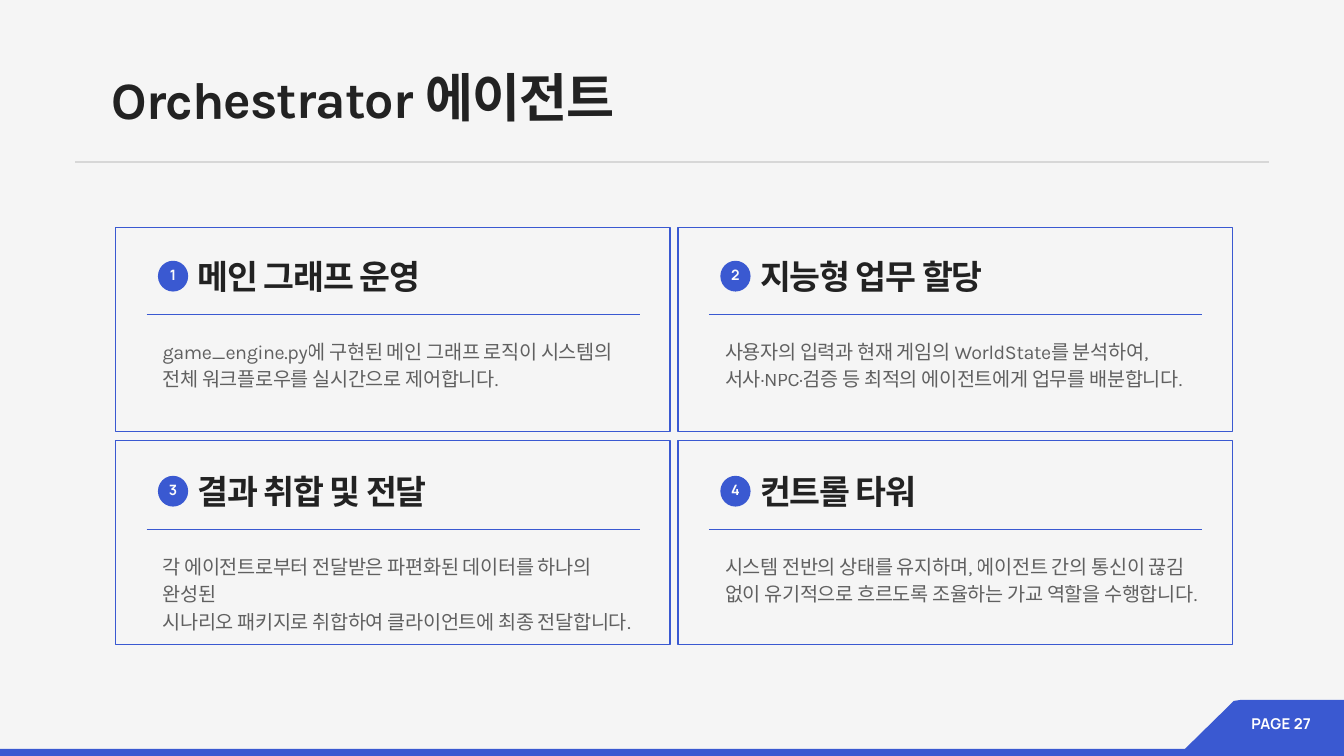
from lxml import etree
from pptx import Presentation
from pptx.dml.color import RGBColor
from pptx.enum import shapes, text
from pptx.oxml.ns import qn
from pptx.util import Pt

BLUE, INK, PAPER, WHITE = "3A59D1", "222222", "F5F5F5", "FFFFFF"
LEFT, CENTER, RIGHT = text.PP_ALIGN.LEFT, text.PP_ALIGN.CENTER, text.PP_ALIGN.RIGHT

TITLE = dict(name="Karla", size=Pt(56), bold=True, color=INK, tracking=-1.2, leading=64.4)
HEADING = dict(TITLE, size=Pt(36), leading=43.1)
BODY = dict(HEADING, size=Pt(21.1), bold=False, opacity=70, tracking=-0.4, leading=29.6)
PAGE = dict(name="Manrope", size=Pt(16), bold=True, color=WHITE, tracking=0.3,
            leading=13.3, align=RIGHT)
NUMBER = dict(PAGE, size=Pt(15.3), color="FCFCFC", tracking=1.2, leading=12.7, align=CENTER)

CARDS = [
    ("메인 그래프 운영", 496.8,
     ["game_engine.py에 구현된 메인 그래프 로직이 시스템의",
      "전체 워크플로우를 실시간으로 제어합니다."]),
    ("지능형 업무 할당", 510.5,
     ["사용자의 입력과 현재 게임의 WorldState를 분석하여,",
      "서사·NPC·검증 등 최적의 에이전트에게 업무를 배분합니다."]),
    ("결과 취합 및 전달", 517.7,
     ["각 에이전트로부터 전달받은 파편화된 데이터를 하나의 완성된",
      "시나리오 패키지로 취합하여 클라이언트에 최종 전달합니다."]),
    ("컨트롤 타워", 510.5,
     ["시스템 전반의 상태를 유지하며, 에이전트 간의 통신이 끊김 없이 "
      "유기적으로 흐르도록 조율하는 가교 역할을 수행합니다."]),
]


def paint(fill, value, opacity=100):
    """Give a fill one solid colour, with an opacity in percent."""
    fill.solid()
    fill.fore_color.rgb = RGBColor.from_string(value)
    if opacity < 100:
        color = fill._xPr.find(".//" + qn("a:srgbClr"))
        etree.SubElement(color, qn("a:alpha"), val=str(opacity * 1000))


def place(box, left, top, width, height):
    """Move and size a box, in points."""
    for name, value in dict(left=left, top=top, width=width, height=height).items():
        setattr(box, name, Pt(value))
    return box


def write(box, lines, style, anchor=text.MSO_ANCHOR.TOP, inset_top=0):
    """Fill a box with one styled paragraph per line."""
    frame = box.text_frame
    settings = dict(margin_left=0, margin_right=0, margin_top=Pt(inset_top), margin_bottom=0,
                    word_wrap=True, auto_size=text.MSO_AUTO_SIZE.NONE, vertical_anchor=anchor)
    for name, value in settings.items():
        setattr(frame, name, value)
    for index, line in enumerate(lines):
        para = frame.add_paragraph() if index else frame.paragraphs[0]
        para.alignment = style.get("align", LEFT)
        para.line_spacing = Pt(style["leading"])
        para.space_before = Pt(0)
        if box.is_placeholder:
            properties = para._p.get_or_add_pPr()
            properties.set("marL", "0")
            properties.set("indent", "0")
            etree.SubElement(properties, qn("a:buNone"))
        span = para.add_run()
        span.text = line
        for name in ("name", "size", "bold"):
            setattr(span.font, name, style[name])
        paint(span.font.fill, style["color"], style.get("opacity", 100))
        span.font._element.set("spc", str(round(style["tracking"] * 100)))


def add_label(page, area, line, style):
    """Add a text box holding one line."""
    write(page.shapes.add_textbox(*map(Pt, area)), [line], style)


def add_rule(page, left, right, top, color, opacity=100):
    """Add a thin horizontal line."""
    rule = page.shapes.add_connector(shapes.MSO_CONNECTOR.STRAIGHT,
                                     *map(Pt, (left, top, right, top)))
    rule.line.width = Pt(0.75)
    paint(rule.line.fill, color, opacity)
    etree.SubElement(rule._element.spPr, qn("a:effectLst"))


def add_solid(page, kind, *area):
    """Add a blue preset shape without outline."""
    shape = page.shapes.add_shape(kind, *map(Pt, area))
    shape.shadow.inherit = False
    paint(shape.fill, BLUE)
    shape.line.fill.background()
    return shape


def add_page_tab(page):
    """Add the bottom band and the slanted tab with the page number."""
    add_solid(page, shapes.MSO_SHAPE.RECTANGLE, 0, 802.4, 1440, 9)
    middle = 811
    upper = [(1264.3, middle), (1264.9, 808.5), (1266.5, 806.3), (1317.6, 754.6), (1322, 751.3),
             (1329, 750.2), (1611.4, 750.2), (1616.2, 752), (1618.4, 757)]
    lower = [(x, 2 * middle - y) for x, y in reversed(upper[1:])]
    builder = page.shapes.build_freeform(*upper[0], scale=Pt(1))
    builder.add_line_segments(upper[1:] + lower, close=True)
    tab = builder.convert_to_shape()
    tab.shadow.inherit = False
    paint(tab.fill, BLUE)
    tab.line.fill.background()
    add_label(page, (1177.2, 771.8, 227.5, 15.8), "PAGE 27", PAGE)


def add_card(page, index, heading, width, lines, body):
    """Add one numbered card of the two-by-two grid."""
    row, column = divmod(index, 2)
    x, y = 602.6 * column, 230.4 * row
    card = page.shapes.add_shape(shapes.MSO_SHAPE.RECTANGLE,
                                 *map(Pt, (124 + x, 244 + 228.2 * row, 594, 218.2)))
    card.shadow.inherit = False
    card.fill.background()
    card.line.width = Pt(1.5)
    paint(card.line.fill, BLUE)
    add_rule(page, 157 + x, 685.4 + x, 337 + y, BLUE)
    badge = add_solid(page, shapes.MSO_SHAPE.OVAL, 169.2 + x, 279.4 + y, 32.4, 33)
    write(badge, [str(index + 1)], NUMBER, text.MSO_ANCHOR.MIDDLE, 2.6)
    add_label(page, (211.7 + x, 274.5 + y, 318.2, 42.5), heading, HEADING)
    write(place(body, 174.2 + x, 359.5 + y, width, 58.3), lines, BODY)


def main():
    """Build the slide and save it."""
    deck = Presentation()
    deck.slide_width, deck.slide_height = Pt(1440), Pt(810)
    page = deck.slides.add_slide(deck.slide_layouts.get_by_name("Comparison"))
    paint(page.background.fill, PAPER)
    title, *bodies = page.placeholders
    write(place(title, 119.5, 73.4, 572.4, 64), ["Orchestrator 에이전트"], TITLE)
    title.rotation = 359.7
    add_page_tab(page)
    add_rule(page, 80.6, 1359.4, 173.5, INK, 39)
    for index, (card, body) in enumerate(zip(CARDS, bodies)):
        add_card(page, index, *card, body)
    deck.save("out.pptx")


if __name__ == "__main__":
    main()
